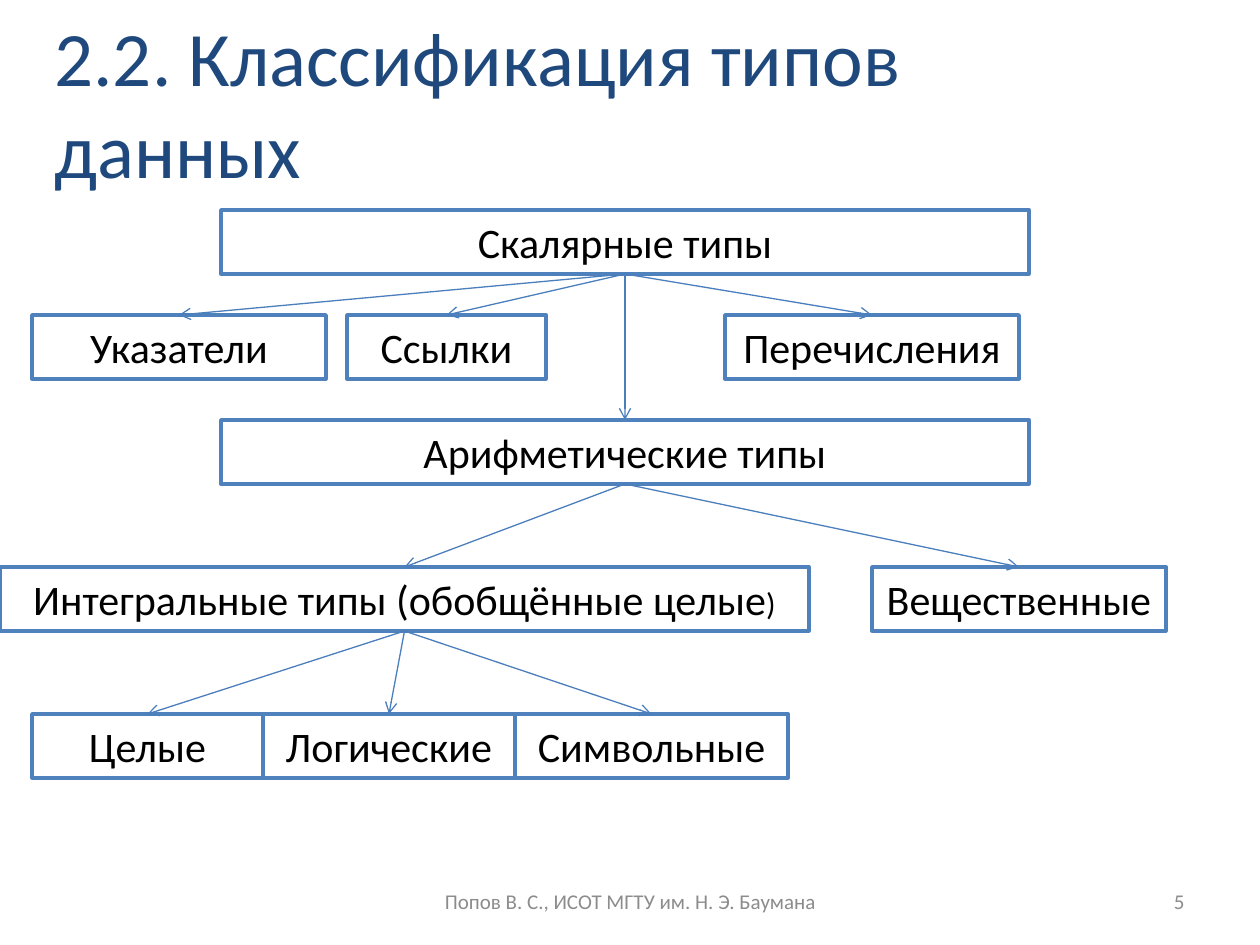
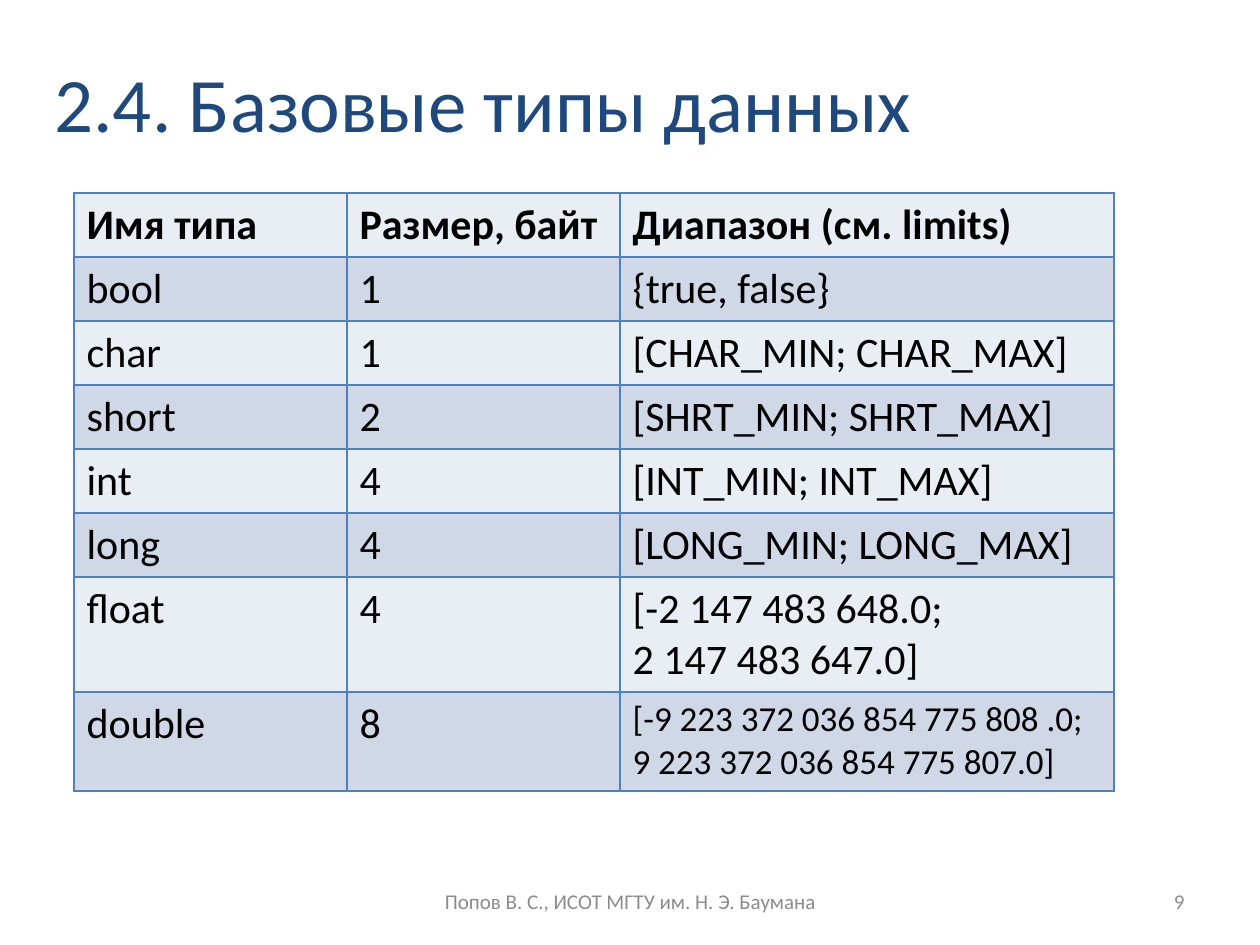
from lxml.etree import SubElement
from pptx import Presentation
from pptx.dml.color import RGBColor
from pptx.enum.shapes import MSO_CONNECTOR, MSO_SHAPE
from pptx.enum.text import MSO_ANCHOR, MSO_AUTO_SIZE, PP_ALIGN
from pptx.oxml import parse_xml
from pptx.oxml.ns import nsdecls, qn
from pptx.util import Emu, Pt

EMU_PER_PIXEL = 914400 / 126
FONT = "Calibri"
NAVY = RGBColor(0x1F, 0x49, 0x7D)
BLUE = RGBColor(0x4F, 0x81, 0xBD)
ARROW_BLUE = RGBColor(0x4B, 0x7E, 0xBC)
GREY = RGBColor(0x8C, 0x8C, 0x8C)
BLACK = RGBColor(0, 0, 0)
WHITE = RGBColor(0xFF, 0xFF, 0xFF)
LIGHT_BAND = RGBColor(0xE9, 0xED, 0xF4)
DARK_BAND = RGBColor(0xD0, 0xD8, 0xE8)

FOOTER = "Попов В. С., ИСОТ МГТУ им. Н. Э. Баумана"
BOX_HEIGHT = 64
ROW_HEIGHT = 64

TYPE_BOXES = {
    "scalar": (221, 210, 808, [("Скалярные типы", 24)]),
    "pointers": (32, 315, 294, [("Указатели", 24)]),
    "references": (347, 315, 199, [("Ссылки", 24)]),
    "enums": (725, 315, 294, [("Перечисления", 24)]),
    "arithmetic": (221, 420, 808, [("Арифметические типы", 24)]),
    "integral": (0, 567, 809, [("Интегральные типы (обобщённые целые", 24), (")", 18)]),
    "real": (872, 567, 294, [("Вещественные", 24)]),
    "integers": (32, 714, 231, [("Целые", 24)]),
    "logical": (263, 714, 252, [("Логические", 24)]),
    "characters": (515, 714, 273, [("Символьные", 24)]),
}
SUBTYPES = {
    "scalar": ["pointers", "references", "enums", "arithmetic"],
    "arithmetic": ["integral", "real"],
    "integral": ["integers", "logical", "characters"],
}
BASE_TYPES = [
    ("Имя типа", "Размер, байт", "Диапазон (см. limits)"),
    ("bool", "1", "{true, false}"),
    ("char", "1", "[CHAR_MIN; CHAR_MAX]"),
    ("short", "2", "[SHRT_MIN; SHRT_MAX]"),
    ("int", "4", "[INT_MIN; INT_MAX]"),
    ("long", "4", "[LONG_MIN; LONG_MAX]"),
    ("float", "4", "[-2 147 483 648.0;\n2 147 483 647.0]"),
    ("double", "8", "[-9 223 372 036 854 775 808 .0;\v9 223 372 036 854 775 807.0]"),
]
COLUMN_WIDTHS = (273, 273, 494)
TALL_ROWS = {"float": 115, "double": 99}


def px(length):
    return Emu(round(length * EMU_PER_PIXEL))


def add_run(paragraph, text, size, color, bold=False):
    for index, line in enumerate(text.split("\v")):
        if index:
            paragraph.add_line_break()
        run = paragraph.add_run()
        run.text = line
        run.font.name = FONT
        run.font.size = Pt(size)
        run.font.bold = bold
        run.font.color.rgb = color


def add_footer_text(slide, left, width, text, align):
    box = slide.shapes.add_textbox(px(left), px(876), px(width), px(50))
    frame = box.text_frame
    frame.word_wrap = True
    frame.vertical_anchor = MSO_ANCHOR.MIDDLE
    frame.paragraphs[0].alignment = align
    add_run(frame.paragraphs[0], text, 12, GREY)


def add_titled_slide(deck, title, number):
    slide = deck.slides.add_slide(deck.slide_layouts[5])
    heading = slide.shapes.title
    heading.left, heading.top = px(42), px(0)
    heading.width, heading.height = px(1029), px(203)
    frame = heading.text_frame
    frame.auto_size = MSO_AUTO_SIZE.NONE
    frame.vertical_anchor = MSO_ANCHOR.MIDDLE
    frame.paragraphs[0].alignment = PP_ALIGN.LEFT
    add_run(frame.paragraphs[0], title, 44, NAVY)
    add_footer_text(slide, 903, 294, number, PP_ALIGN.RIGHT)
    add_footer_text(slide, 431, 399, FOOTER, PP_ALIGN.CENTER)
    return slide


def add_type_box(slide, left, top, width, runs):
    box = slide.shapes.add_shape(
        MSO_SHAPE.RECTANGLE, px(left), px(top), px(width), px(BOX_HEIGHT))
    box.shadow.inherit = False
    box.fill.solid()
    box.fill.fore_color.rgb = WHITE
    box.line.color.rgb = BLUE
    box.line.width = Pt(2)
    frame = box.text_frame
    frame.word_wrap = True
    frame.auto_size = MSO_AUTO_SIZE.SHAPE_TO_FIT_TEXT
    frame.vertical_anchor = MSO_ANCHOR.TOP
    frame.paragraphs[0].alignment = PP_ALIGN.CENTER
    for text, size in runs:
        add_run(frame.paragraphs[0], text, size, BLACK)
    return box


def add_arrow(slide, parent, child):
    arrow = slide.shapes.add_connector(MSO_CONNECTOR.STRAIGHT, 0, 0, 0, 0)
    arrow.begin_connect(parent, 2)
    arrow.end_connect(child, 0)
    arrow.line.color.rgb = ARROW_BLUE
    arrow.line.width = Pt(0.75)
    SubElement(arrow.line._get_or_add_ln(), qn("a:tailEnd"), type="arrow")
    SubElement(arrow._element.spPr, qn("a:effectLst"))


def add_borders(cell):
    properties = cell._tc.get_or_add_tcPr()
    for index, side in enumerate(("lnL", "lnR", "lnT", "lnB")):
        properties.insert(index, parse_xml(
            f'<a:{side} {nsdecls("a")} w="{Pt(1)}"><a:solidFill>'
            f'<a:srgbClr val="{BLUE}"/></a:solidFill></a:{side}>'))


def fill_cell(cell, text, size, band, bold):
    cell.fill.solid()
    cell.fill.fore_color.rgb = band
    add_borders(cell)
    frame = cell.text_frame
    for index, line in enumerate(text.split("\n")):
        paragraph = frame.add_paragraph() if index else frame.paragraphs[0]
        add_run(paragraph, line, size, BLACK, bold)


def add_type_table(slide):
    heights = [TALL_ROWS.get(row[0], ROW_HEIGHT) for row in BASE_TYPES]
    table = slide.shapes.add_table(
        len(BASE_TYPES), len(COLUMN_WIDTHS), px(74), px(193),
        px(sum(COLUMN_WIDTHS)), px(sum(heights))).table
    for column, width in zip(table.columns, COLUMN_WIDTHS):
        column.width = px(width)
    for index, (row, height, texts) in enumerate(zip(table.rows, heights, BASE_TYPES)):
        row.height = px(height)
        band = DARK_BAND if index % 2 else LIGHT_BAND
        for cell, text in zip(row.cells, texts):
            size = 20 if "\v" in text else 24
            fill_cell(cell, text, size, band, index == 0)


def add_classification(deck):
    slide = add_titled_slide(deck, "2.2. Классификация типов данных", "5")
    boxes = {name: add_type_box(slide, *box) for name, box in TYPE_BOXES.items()}
    for parent, children in SUBTYPES.items():
        for child in children:
            add_arrow(slide, boxes[parent], boxes[child])


def add_base_types(deck):
    slide = add_titled_slide(deck, "2.4. Базовые типы данных", "9")
    add_type_table(slide)


def main():
    deck = Presentation()
    deck.slide_width, deck.slide_height = px(1260), px(945)
    add_classification(deck)
    add_base_types(deck)
    deck.save("out.pptx")


main()
